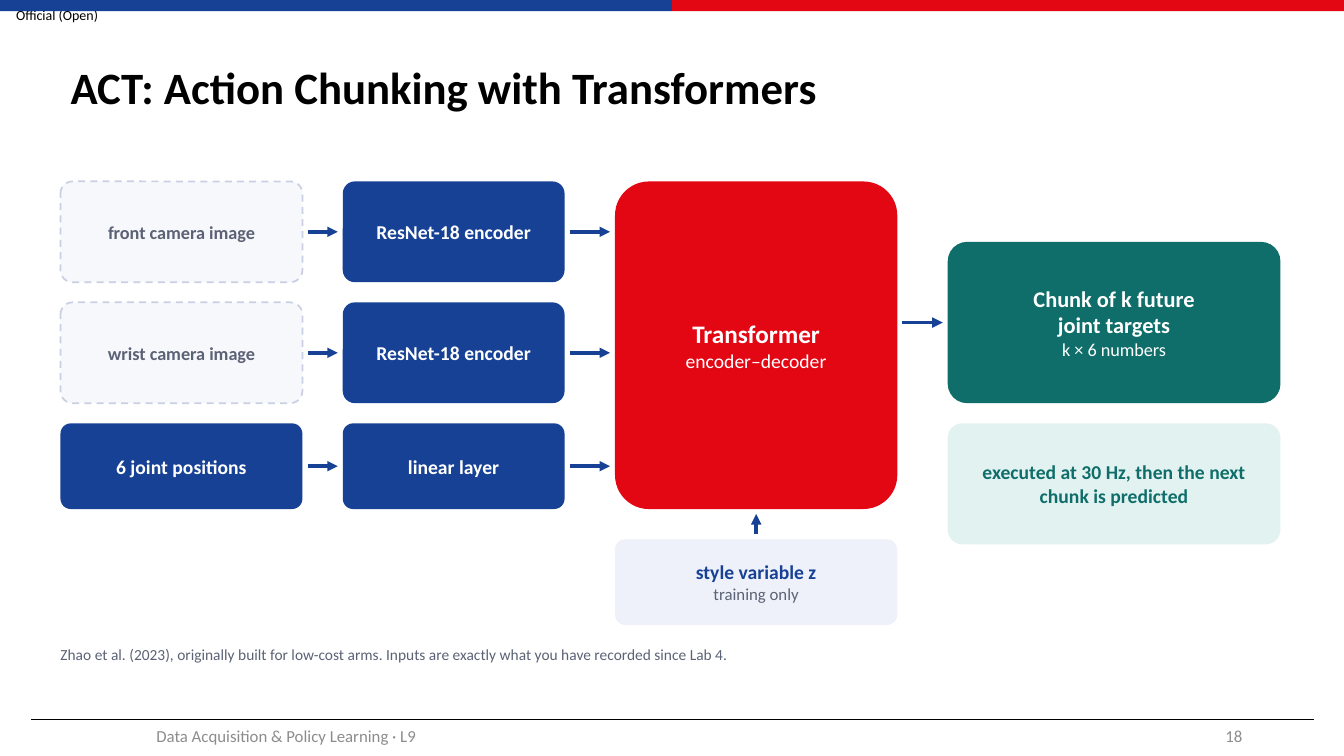
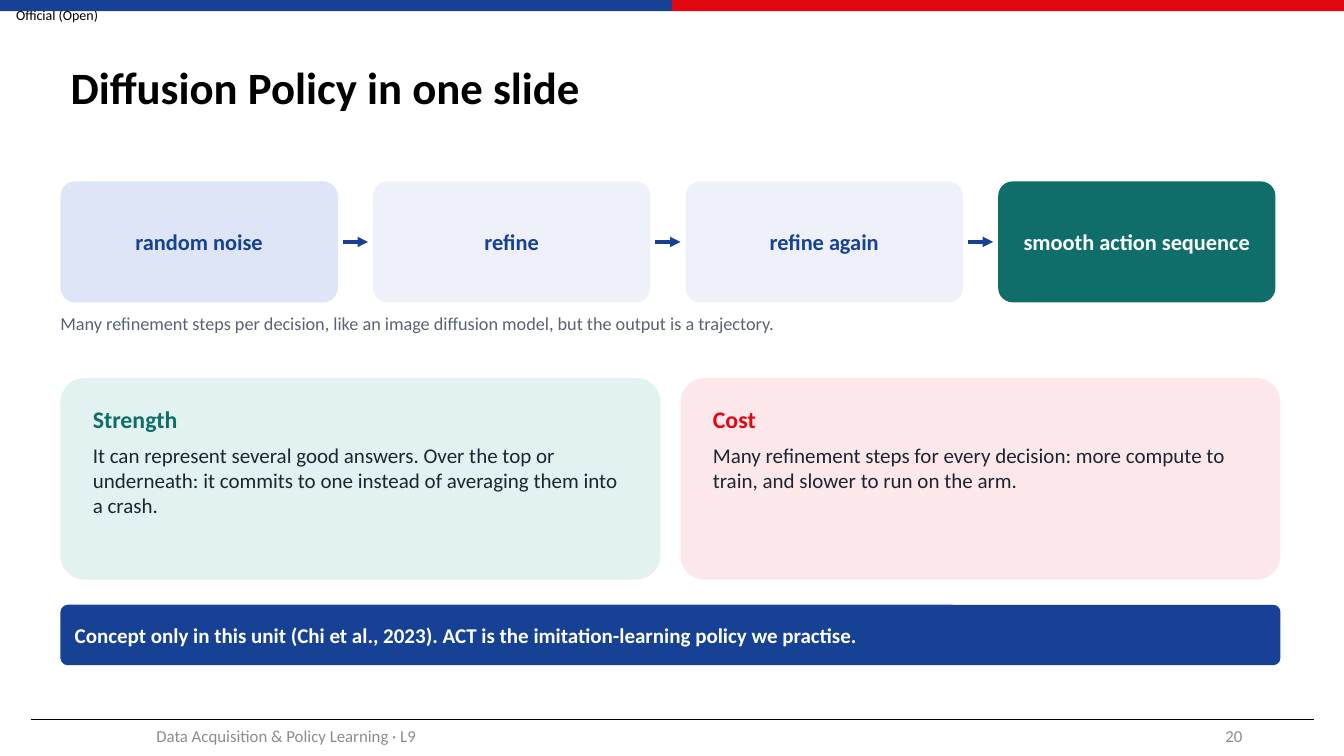
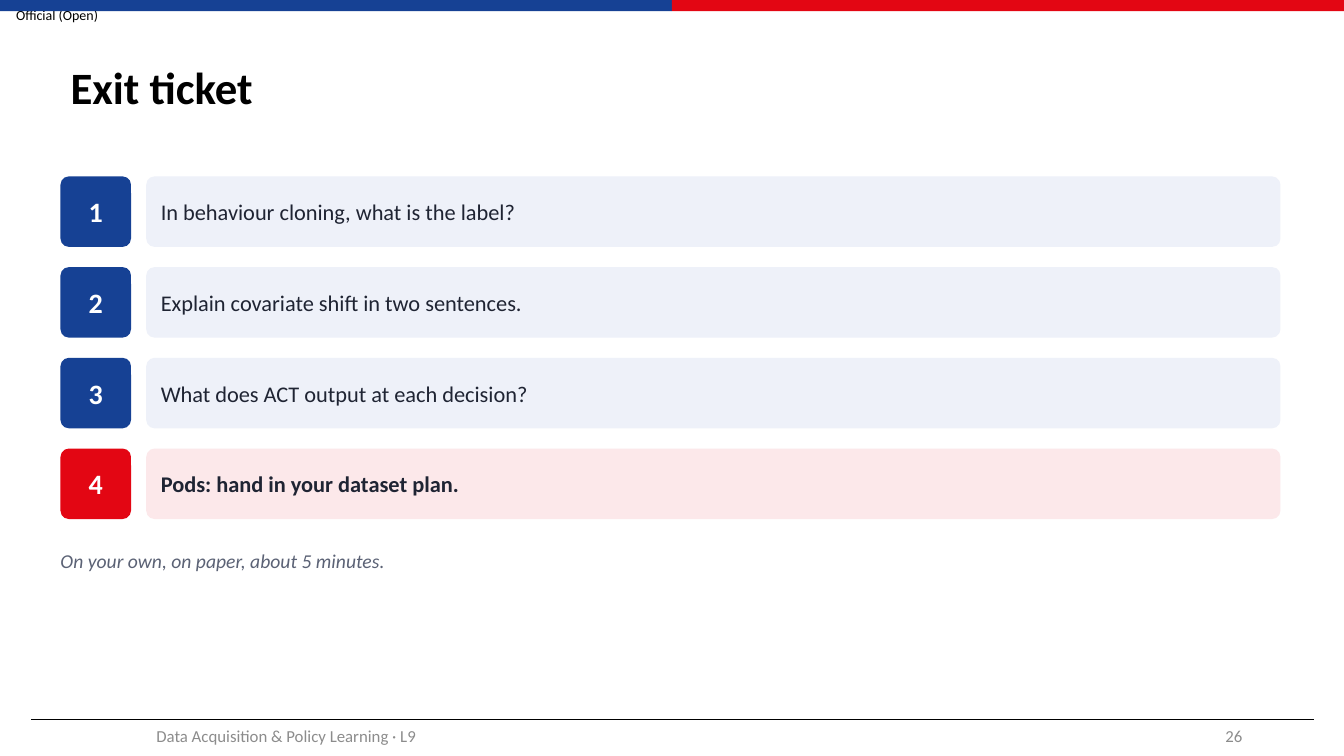
import lxml.etree
import pptx
import pptx.dml.color
import pptx.enum.dml
import pptx.enum.shapes
import pptx.enum.text
import pptx.oxml.ns
import pptx.util

HUES = {
    "blue": "164194", "red": "E30613", "teal": "0F6E6A", "mint": "E2F2F1",
    "pink": "FCE8EA", "pale": "EEF1F9", "sky": "DDE5F7", "mist": "F7F8FC",
    "edge": "C9D0E3", "ink": "1F2433", "slate": "5B6275", "gray": "8C8C8C",
    "black": "000000", "white": "FFFFFF",
}
FORMS = pptx.enum.shapes.MSO_SHAPE
ALIGN = pptx.enum.text.PP_ALIGN
ANCHOR = pptx.enum.text.MSO_ANCHOR
LEFT, WIDE, GAP = 6, 121, 0.5


class Deck:
    """Build slides on a grid whose columns and rows are a tenth of an inch."""

    cell = 0.1
    font = "Calibri"

    def __init__(self):
        self.show = pptx.Presentation()
        self.show.slide_width = pptx.util.Inches(13.33)
        self.show.slide_height = pptx.util.Inches(7.5)
        self.cols = 133.3
        self.slide = None

    def grid(self, *units):
        return [pptx.util.Inches(unit * self.cell) for unit in units]

    def hue(self, name):
        return pptx.dml.color.RGBColor.from_string(HUES[name])

    def label(self, frame, lines, align=ALIGN.LEFT, anchor=ANCHOR.MIDDLE, pad=(0, 0), after=0):
        frame.word_wrap = True
        frame.vertical_anchor = anchor
        frame.margin_left = frame.margin_right = self.grid(pad[0])[0]
        frame.margin_top = frame.margin_bottom = self.grid(pad[1])[0]
        for index, (text, size, hue, style) in enumerate(lines):
            para = frame.add_paragraph() if index else frame.paragraphs[0]
            para.text = text
            para.alignment = align
            if after and index < len(lines) - 1:
                para.space_after = pptx.util.Pt(after)
            para.font.name = self.font
            para.font.size = pptx.util.Pt(size)
            para.font.bold = "b" in style
            para.font.italic = "i" in style
            para.font.color.rgb = self.hue(hue)

    def text(self, place, line, **look):
        box = self.slide.shapes.add_textbox(*self.grid(*place))
        self.label(box.text_frame, [line], **look)

    def block(self, place, fill, form=FORMS.RECTANGLE):
        shape = self.slide.shapes.add_shape(form, *self.grid(*place))
        shape.shadow.inherit = False
        shape.fill.solid()
        shape.fill.fore_color.rgb = self.hue(fill)
        shape.line.fill.background()
        return shape

    def card(self, place, fill, lines, align=ALIGN.CENTER, pad=(1.2, 0.6), dash=False, **look):
        shape = self.block(place, fill, FORMS.ROUNDED_RECTANGLE)
        shape.adjustments[0] = 0.12
        if dash:
            shape.line.color.rgb = self.hue("edge")
            shape.line.width = pptx.util.Pt(1.25)
            shape.line.dash_style = pptx.enum.dml.MSO_LINE.DASH
        self.label(shape.text_frame, lines, align=align, pad=pad, **look)

    def line(self, ends, hue, width, arrow=False):
        kind = pptx.enum.shapes.MSO_CONNECTOR.STRAIGHT
        link = self.slide.shapes.add_connector(kind, *self.grid(*ends))
        link.line.color.rgb = self.hue(hue)
        link.line.width = pptx.util.Pt(width)
        qn = pptx.oxml.ns.qn
        props = link._element.spPr
        if arrow:
            lxml.etree.SubElement(props.find(qn("a:ln")), qn("a:tailEnd"), type="triangle")
        lxml.etree.SubElement(props, qn("a:effectLst"))

    def arrow(self, *ends):
        self.line(ends, "blue", 2.5, arrow=True)

    def start(self, title, number):
        self.slide = self.show.slides.add_slide(self.show.slide_layouts[5])
        half = self.cols / 2
        self.text((1.6, 0, 11.3, 2.9), ("Official (Open)", 10, "black", ""))
        for index, fill in enumerate(("blue", "red")):
            self.block((index * half, 0, half, 1.1), fill)
        self.line((3.1, 71.4, 130.3, 71.4), "black", 0.5)
        head = self.slide.shapes.title
        head.left, head.top, head.width, head.height = self.grid(LEFT, 3, 120.8, 11.8)
        self.label(head.text_frame, [(title, 32, "black", "b")], pad=(1, 0.5))
        head.text_frame.paragraphs[0].line_spacing = 0.9
        foot = ("Data Acquisition & Policy Learning · L9", 12, "gray", "")
        self.text((5.9, 71, 45, 4), foot, align=ALIGN.CENTER, pad=(1, 0.5))
        self.text((94.2, 71, 30, 4), (str(number), 12, "gray", ""), align=ALIGN.RIGHT, pad=(1, 0.5))

    def note(self, top, height, text, size, style=""):
        self.text((LEFT, top, WIDE, height), (text, size, "slate", style), anchor=ANCHOR.TOP)


def model(deck):
    deck.start("ACT: Action Chunking with Transformers", 18)
    inputs = [
        (18, 10, "front camera image", "ResNet-18 encoder", True),
        (30, 10, "wrist camera image", "ResNet-18 encoder", True),
        (42, 8.5, "6 joint positions", "linear layer", False),
    ]
    for top, height, source, coder, dash in inputs:
        fill, size, hue = ("mist", 13, "slate") if dash else ("blue", 14, "white")
        mid = top + height / 2
        deck.card((LEFT, top, 24, height), fill, [(source, size, hue, "b")], dash=dash)
        deck.arrow(30 + GAP, mid, 34 - GAP, mid)
        deck.card((34, top, 22, height), "blue", [(coder, 14, "white", "b")])
        deck.arrow(56 + GAP, mid, 61 - GAP, mid)
    deck.card((61, 18, 28, 32.5), "red", [
        ("Transformer", 18, "white", "b"), ("encoder–decoder", 14, "white", "")])
    deck.card((61, 53.5, 28, 8.5), "pale", [
        ("style variable z", 14, "blue", "b"), ("training only", 12, "slate", "")])
    deck.arrow(75, 53.5 - GAP, 75, 50.5 + GAP)
    deck.arrow(89 + GAP, 32, 94 - GAP, 32)
    deck.card((94, 24, 33, 16), "teal", [
        ("Chunk of k future", 16, "white", "b"),
        ("joint targets", 16, "white", "b"),
        ("k × 6 numbers", 13, "white", "")])
    deck.card((94, 42, 33, 12), "mint", [
        ("executed at 30 Hz, then the next chunk is predicted", 14, "teal", "b")])
    deck.note(64, 3, "Zhao et al. (2023), originally built for low-cost arms. "
              "Inputs are exactly what you have recorded since Lab 4.", 11)


def policy(deck):
    deck.start("Diffusion Policy in one slide", 20)
    steps = [
        ("random noise", "sky", "blue"), ("refine", "pale", "blue"),
        ("refine again", "pale", "blue"), ("smooth action sequence", "teal", "white"),
    ]
    width, pitch = 27.5, 31
    for index, (text, fill, hue) in enumerate(steps):
        left = LEFT + index * pitch
        if index:
            deck.arrow(left - pitch + width + GAP, 24, left - GAP, 24)
        deck.card((left, 18, width, 12), fill, [(text, 16, hue, "b")])
    deck.note(31, 3.5, "Many refinement steps per decision, like an image diffusion model, "
              "but the output is a trajectory.", 13)
    sides = [
        ("Strength", "mint", "teal", "It can represent several good answers. Over the top or "
         "underneath: it commits to one instead of averaging them into a crash."),
        ("Cost", "pink", "red", "Many refinement steps for every decision: more compute to "
         "train, and slower to run on the arm."),
    ]
    for index, (head, fill, hue, body) in enumerate(sides):
        deck.card((LEFT + index * 61.5, 37.5, 59.5, 20), fill,
                  [(head, 17, hue, "b"), (body, 15, "ink", "")],
                  align=ALIGN.LEFT, anchor=ANCHOR.TOP, pad=(2.5, 2), after=6)
    deck.card((LEFT, 60, WIDE, 6), "blue", [
        ("Concept only in this unit (Chi et al., 2023). ACT is the imitation-learning "
         "policy we practise.", 15, "white", "b")], align=ALIGN.LEFT)


def ticket(deck):
    deck.start("Exit ticket", 26)
    tasks = [
        ("In behaviour cloning, what is the label?", "blue", "pale", ""),
        ("Explain covariate shift in two sentences.", "blue", "pale", ""),
        ("What does ACT output at each decision?", "blue", "pale", ""),
        ("Pods: hand in your dataset plan.", "red", "pink", "b"),
    ]
    for index, (text, badge, fill, style) in enumerate(tasks):
        top = 17.5 + index * 9
        deck.card((LEFT, top, 7, 7), badge, [(str(index + 1), 20, "white", "b")], pad=(0.2, 0.2))
        deck.card((14.5, top, 112.5, 7), fill, [(text, 16, "ink", style)], align=ALIGN.LEFT)
    deck.note(54.5, 4, "On your own, on paper, about 5 minutes.", 14, "i")


def main():
    deck = Deck()
    for build in (model, policy, ticket):
        build(deck)
    deck.show.save("out.pptx")


if __name__ == "__main__":
    main()
